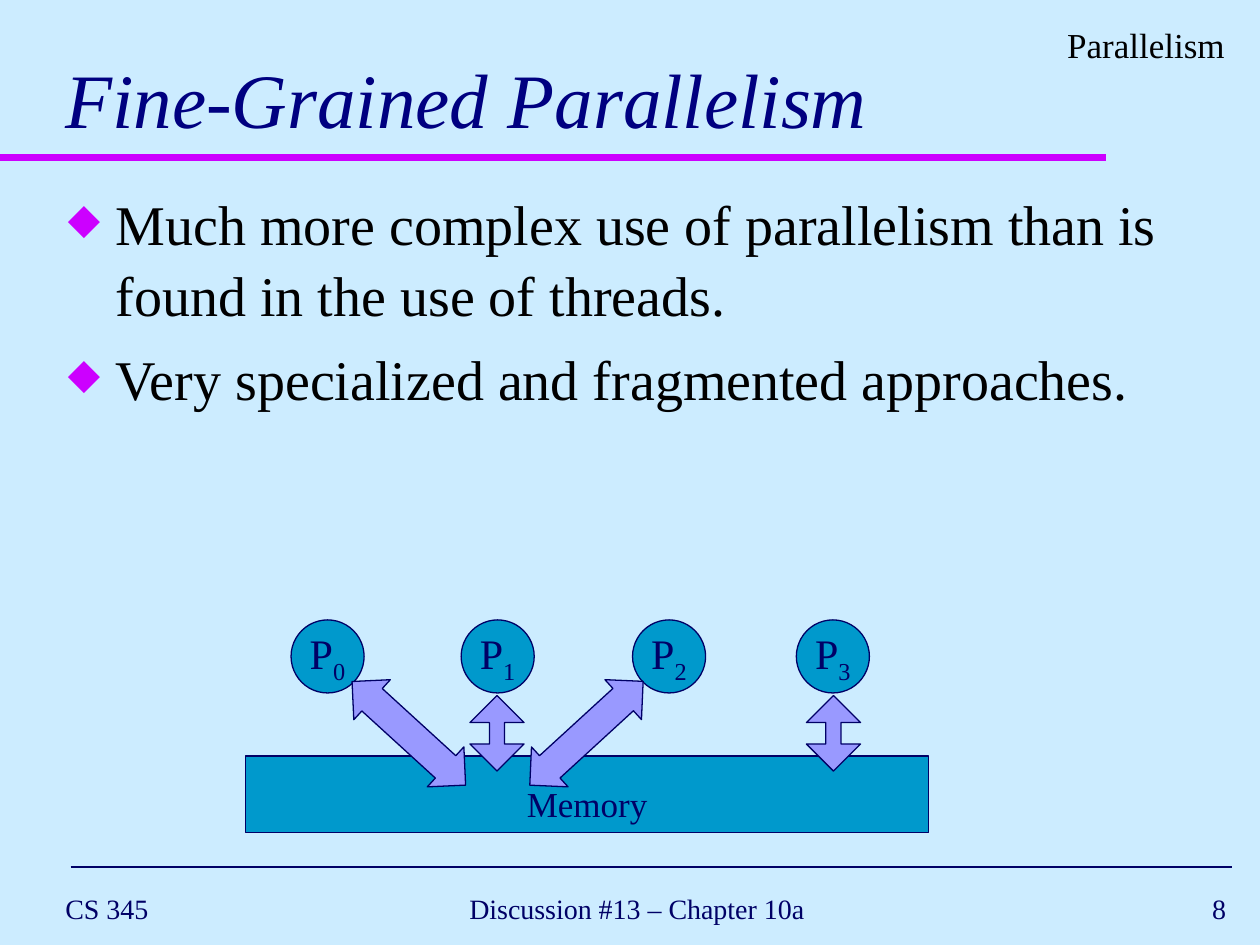
from dataclasses import dataclass

from lxml.etree import SubElement
from pptx import Presentation
from pptx.dml.color import RGBColor
from pptx.enum.shapes import MSO_CONNECTOR, MSO_SHAPE
from pptx.enum.text import MSO_ANCHOR, PP_ALIGN
from pptx.oxml.ns import qn
from pptx.util import Inches, Pt

SKY = RGBColor(0xCC, 0xEC, 0xFF)
PINK = RGBColor(0xCC, 0x00, 0xFF)
INK = RGBColor(0x00, 0x00, 0x66)
NAVY = RGBColor(0x00, 0x00, 0x80)
BLACK = RGBColor(0x00, 0x00, 0x00)
TEAL = RGBColor(0x00, 0x99, 0xCC)
LILAC = RGBColor(0x99, 0x99, 0xFF)
FACE = "Times New Roman"
WIDE, HIGH = 10, 7.5
MID, TOP, BASE = MSO_ANCHOR.MIDDLE, MSO_ANCHOR.TOP, MSO_ANCHOR.BOTTOM
LEFT, CENTER, RIGHT = PP_ALIGN.LEFT, PP_ALIGN.CENTER, PP_ALIGN.RIGHT


@dataclass
class Box:
    x: float
    y: float
    w: float
    h: float

    def place(self) -> tuple:
        return tuple(Inches(v) for v in (self.x, self.y, self.w, self.h))


@dataclass
class Label:
    text: str
    box: Box
    size: int
    color: RGBColor
    align: PP_ALIGN = LEFT
    anchor: MSO_ANCHOR = MID
    tilt: bool = False


@dataclass
class Rule:
    start: float
    end: float
    y: float
    color: RGBColor
    width: float


@dataclass
class Arrow:
    box: Box
    head: float
    turn: float = 0


def add_run(para, text: str, size: int, color: RGBColor, tilt: bool = False):
    run = para.add_run()
    run.text = text
    for key, val in {"name": FACE, "size": Pt(size), "italic": tilt}.items():
        setattr(run.font, key, val)
    run.font.color.rgb = color
    return run


def set_frame(frame, anchor: MSO_ANCHOR, wrap: bool = True) -> None:
    form = {"word_wrap": wrap, "vertical_anchor": anchor,
            "margin_left": Inches(0.1), "margin_right": Inches(0.1),
            "margin_top": Inches(0.05), "margin_bottom": Inches(0.05)}
    for key, val in form.items():
        setattr(frame, key, val)


def add_label(shapes, item: Label) -> None:
    frame = shapes.add_textbox(*item.box.place()).text_frame
    set_frame(frame, item.anchor)
    para = frame.paragraphs[0]
    para.alignment = item.align
    add_run(para, item.text, item.size, item.color, item.tilt)


def add_rule(shapes, rule: Rule) -> None:
    line = shapes.add_connector(
        MSO_CONNECTOR.STRAIGHT, Inches(rule.start), Inches(rule.y),
        Inches(rule.end), Inches(rule.y))
    line.line.color.rgb = rule.color
    line.line.width = Pt(rule.width)
    SubElement(line._element.spPr, qn("a:effectLst"))


def add_bullet(para) -> None:
    props = para._p.get_or_add_pPr()
    props.set("marL", str(Inches(0.38)))
    props.set("indent", str(-Inches(0.38)))
    tint = SubElement(props, qn("a:buClr"))
    SubElement(tint, qn("a:srgbClr"), val=str(PINK))
    SubElement(props, qn("a:buSzPct"), val="75000")
    SubElement(props, qn("a:buChar"), char="\u25c6")


def add_list(shapes, box: Box, lines: list[str]) -> None:
    frame = shapes.add_textbox(*box.place()).text_frame
    set_frame(frame, TOP)
    for i, text in enumerate(lines):
        para = frame.add_paragraph() if i else frame.paragraphs[0]
        para.line_spacing = 1.05
        para.space_before = Pt(8)
        add_bullet(para)
        add_run(para, text, 32, BLACK)


def add_solid(shapes, kind: MSO_SHAPE, box: Box, fill: RGBColor):
    solid = shapes.add_shape(kind, *box.place())
    solid.shadow.inherit = False
    solid.fill.solid()
    solid.fill.fore_color.rgb = fill
    solid.line.color.rgb = INK
    solid.line.width = Pt(0.74)
    return solid


def add_node(shapes, x: float, index: int) -> None:
    node = add_solid(shapes, MSO_SHAPE.OVAL, Box(x, 4.92, 0.58, 0.58), TEAL)
    set_frame(node.text_frame, MID, False)
    para = node.text_frame.paragraphs[0]
    para.alignment = CENTER
    add_run(para, "P", 24, INK)
    sub = add_run(para, str(index), 24, INK)
    sub._r.get_or_add_rPr().set("baseline", "-25000")


def add_arrow(shapes, item: Arrow) -> None:
    arrow = add_solid(shapes, MSO_SHAPE.UP_DOWN_ARROW, item.box, LILAC)
    arrow.adjustments[0] = 0.5
    arrow.adjustments[1] = item.head
    arrow.rotation = item.turn


def add_bar(shapes) -> None:
    bar = add_solid(shapes, MSO_SHAPE.RECTANGLE,
                    Box(1.95, 6, 5.42, 0.61), TEAL)
    set_frame(bar.text_frame, BASE, False)
    bar.text_frame.margin_bottom = Inches(0.07)
    para = bar.text_frame.paragraphs[0]
    para.alignment = CENTER
    add_run(para, "Memory", 20, INK)


deck = Presentation()
deck.slide_width, deck.slide_height = Inches(WIDE), Inches(HIGH)
slide = deck.slides.add_slide(deck.slide_layouts[6])
slide.background.fill.solid()
slide.background.fill.fore_color.rgb = SKY
shapes = slide.shapes

# Rules under the title and above the footer
for rule in (Rule(0, 8.78, 1.25, PINK, 4), Rule(0.56, 9.78, 6.88, INK, 0.99)):
    add_rule(shapes, rule)

# Title, topic and footer
for item in (
    Label("CS 345", Box(0.42, 7, 2.67, 0.42), 16, INK),
    Label("Discussion #13 \u2013 Chapter 10a", Box(3.07, 7, 3.97, 0.42),
          16, INK, CENTER),
    Label("8", Box(7.75, 7, 2.08, 0.42), 16, INK, RIGHT),
    Label("Fine-Grained Parallelism", Box(0.42, 0.38, 9.25, 0.79),
          44, NAVY, tilt=True),
    Label("Parallelism", Box(6.24, 0.14, 3.58, 0.44), 20, BLACK, RIGHT, TOP),
):
    add_label(shapes, item)

# Body
add_list(shapes, Box(0.44, 1.43, 9.14, 2.94), [
    "Much more complex use of parallelism than is found in the use of threads.",
    "Very specialized and fragmented approaches.",
])

# Processors sharing the memory
group = shapes.add_group_shape().shapes
add_bar(group)
for index, x in enumerate((2.31, 3.66, 5.02, 6.32)):
    add_node(group, x, index)
for item in (
    Arrow(Box(3.03, 5.21, 0.43, 1.22), 0.56, 312.4),
    Arrow(Box(3.73, 5.52, 0.43, 0.6), 0.28),
    Arrow(Box(6.4, 5.52, 0.43, 0.6), 0.28),
    Arrow(Box(4.44, 5.21, 0.43, 1.22), 0.56, 47.5),
):
    add_arrow(group, item)

deck.save("out.pptx")
